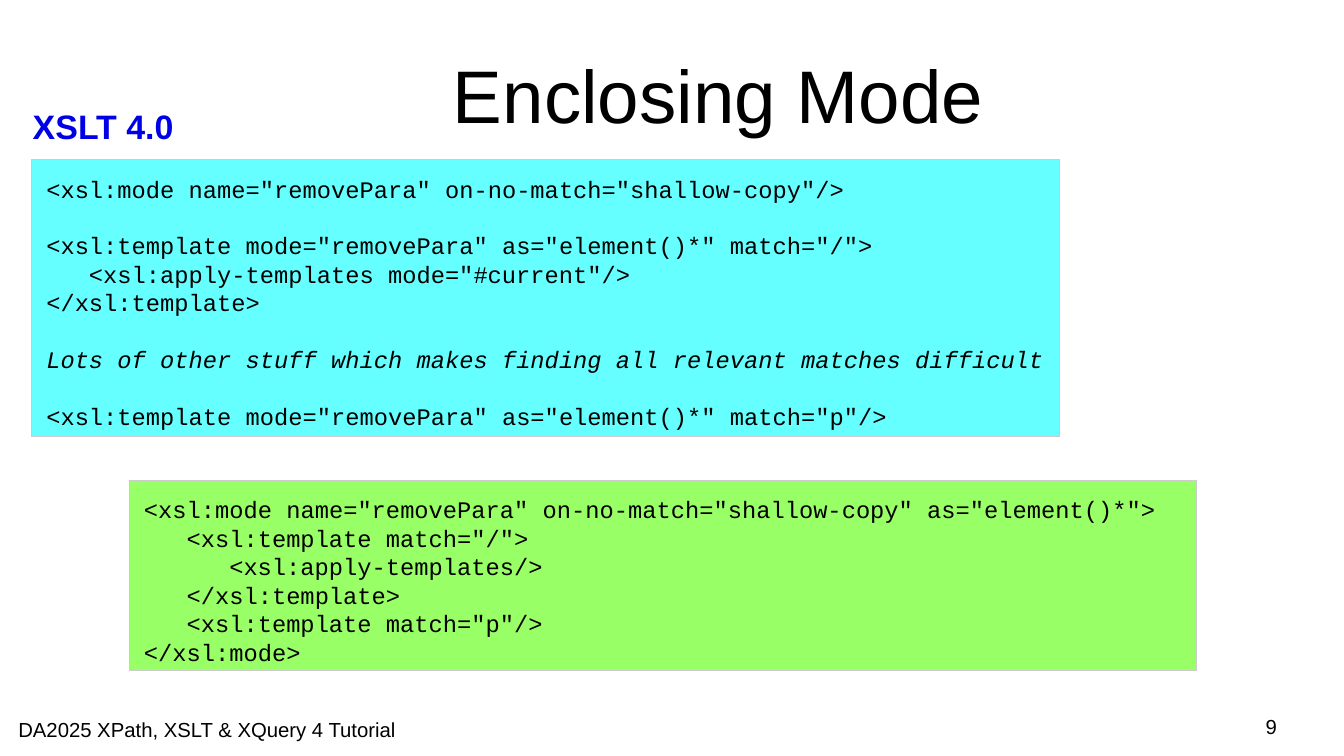
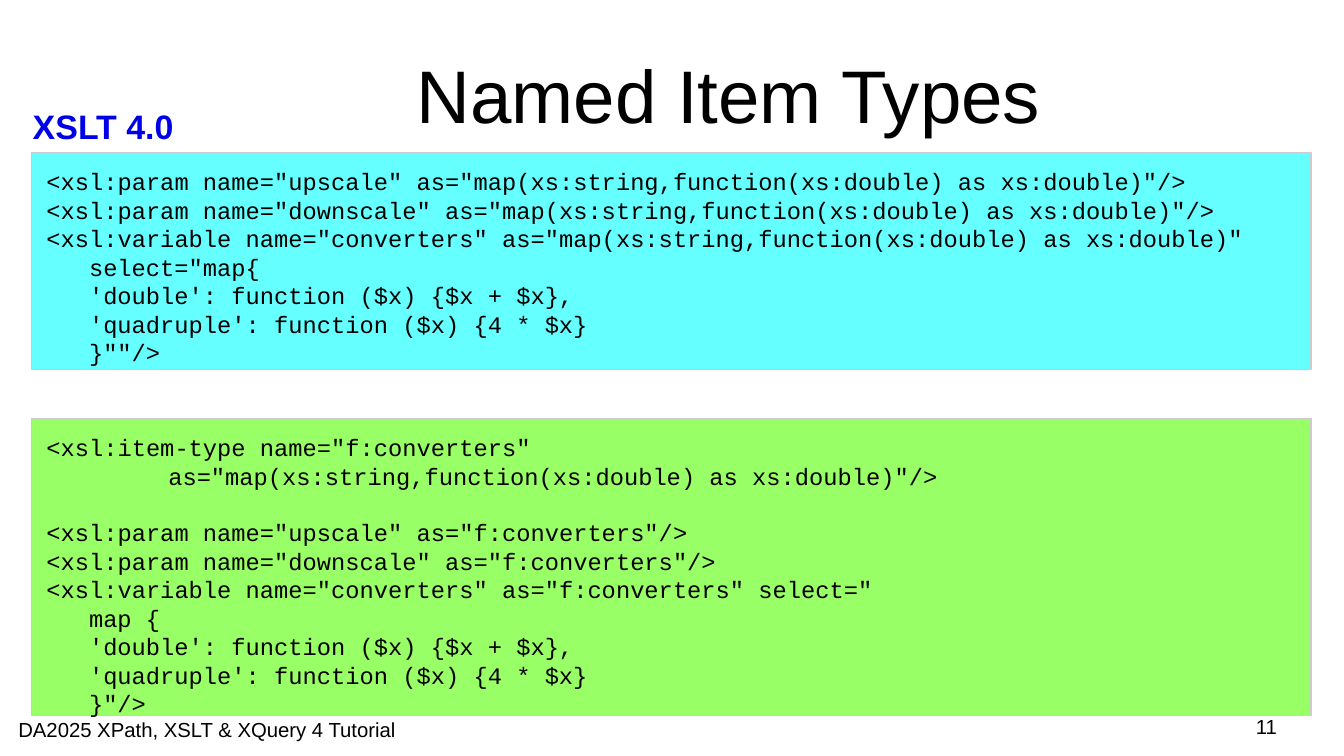
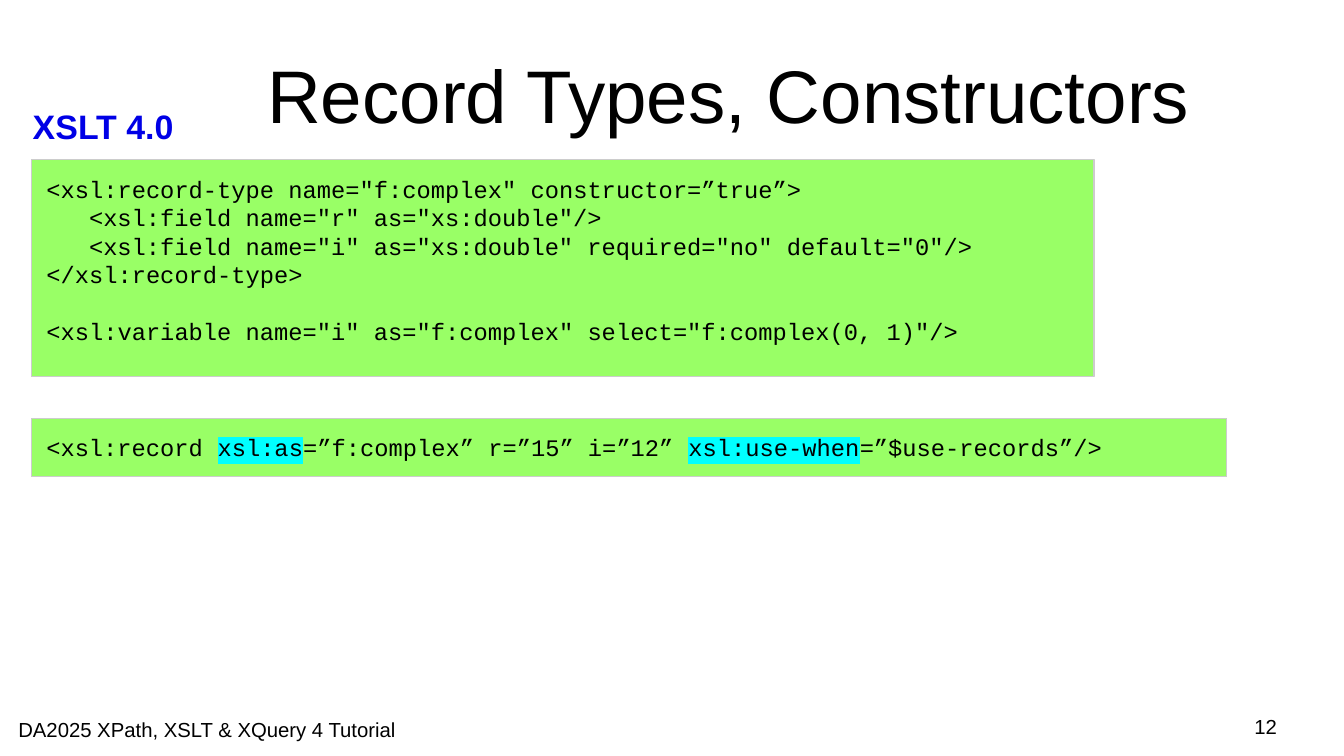
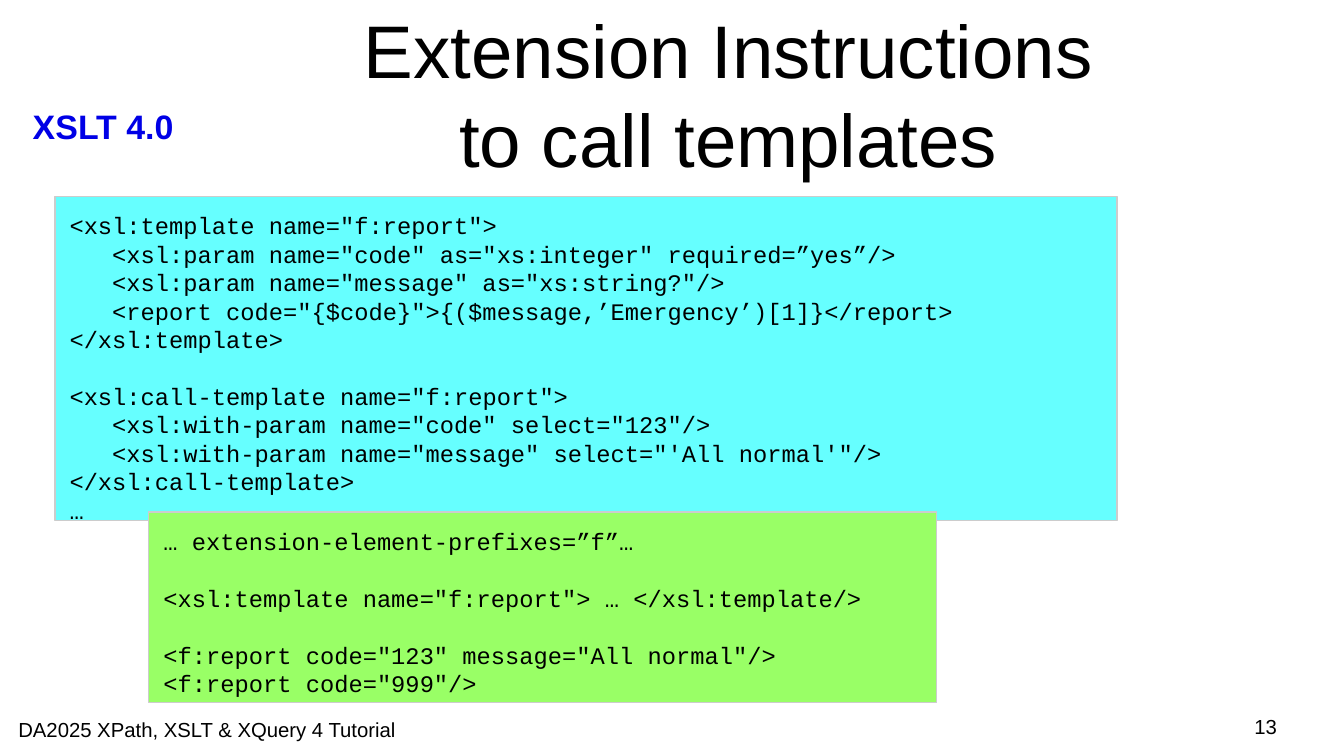
from lxml import etree
from pptx import Presentation
from pptx.dml.color import RGBColor
from pptx.enum import shapes, text
from pptx.oxml import ns
from pptx.util import Inches, Pt

BLACK = RGBColor(0x00, 0x00, 0x00)
TAG_BLUE = RGBColor(0x00, 0x00, 0xE6)
OLD_CYAN = RGBColor(0x66, 0xFF, 0xFF)
NEW_GREEN = RGBColor(0x99, 0xFF, 0x66)
BORDER_GREY = RGBColor(0xCC, 0xCC, 0xCC)
HIGHLIGHT_CYAN = RGBColor(0x00, 0xFF, 0xFF)

SANS, MONO = "Arial", "Courier New"
CODE_SIZE = 14
CODE_LINE = 1.2 * CODE_SIZE
CODE_CHARACTER = 0.6 * CODE_SIZE
TAB_WIDTH = 72
FOOTER = "DA2025 XPath, XSLT & XQuery 4 Tutorial"
TITLE_BOX = (1.48, 0.25, 8.99, 1.04)

ENCLOSING_OLD = """\
<xsl:mode name="removePara" on-no-match="shallow-copy"/>

<xsl:template mode="removePara" as="element()*" match="/">
   <xsl:apply-templates mode="#current"/>
</xsl:template>

Lots of other stuff which makes finding all relevant matches difficult

<xsl:template mode="removePara" as="element()*" match="p"/>"""

ENCLOSING_NEW = """\
<xsl:mode name="removePara" on-no-match="shallow-copy" as="element()*">
   <xsl:template match="/">
      <xsl:apply-templates/>
   </xsl:template>
   <xsl:template match="p"/>
</xsl:mode>"""

ITEM_TYPES_OLD = """\
<xsl:param name="upscale" as="map(xs:string,function(xs:double) as xs:double)"/>
<xsl:param name="downscale" as="map(xs:string,function(xs:double) as xs:double)"/>
<xsl:variable name="converters" as="map(xs:string,function(xs:double) as xs:double)"
   select="map{
   'double': function ($x) {$x + $x},
   'quadruple': function ($x) {4 * $x}
   }""/>"""

ITEM_TYPES_NEW = """\
<xsl:item-type name="f:converters"
\tas="map(xs:string,function(xs:double) as xs:double)"/>

<xsl:param name="upscale" as="f:converters"/>
<xsl:param name="downscale" as="f:converters"/>
<xsl:variable name="converters" as="f:converters" select="
   map {
   'double': function ($x) {$x + $x},
   'quadruple': function ($x) {4 * $x}
   }"/>"""

RECORD_TYPE = """\
<xsl:record-type name="f:complex" constructor=”true”>
   <xsl:field name="r" as="xs:double"/>
   <xsl:field name="i" as="xs:double" required="no" default="0"/>
</xsl:record-type>

<xsl:variable name="i" as="f:complex" select="f:complex(0, 1)"/>"""

RECORD = "<xsl:record xsl:as=”f:complex” r=”15” i=”12” xsl:use-when=”$use-records”/>"

EXTENSION_OLD = """\
<xsl:template name="f:report">
   <xsl:param name="code" as="xs:integer" required=”yes”/>
   <xsl:param name="message" as="xs:string?"/>
   <report code="{$code}">{($message,’Emergency’)[1]}</report>
</xsl:template>

<xsl:call-template name="f:report">
   <xsl:with-param name="code" select="123"/>
   <xsl:with-param name="message" select="'All normal'"/>
</xsl:call-template>
…"""

EXTENSION_NEW = """\
… extension-element-prefixes=”f”…

<xsl:template name="f:report"> … </xsl:template/>

<f:report code="123" message="All normal"/>
<f:report code="999"/>"""


def add_run(paragraph, words, size, font=SANS, color=BLACK, bold=False, italic=False):
    run = paragraph.add_run()
    run.text = words
    run.font.name = font
    run.font.size = Pt(size)
    run.font.color.rgb = color
    run.font.bold = bold
    run.font.italic = italic
    return run


def highlight(run):
    """Put a marker colour behind the run; the schema wants it right after the fill."""
    mark = etree.Element(ns.qn("a:highlight"))
    etree.SubElement(mark, ns.qn("a:srgbClr"), val=str(HIGHLIGHT_CYAN))
    run.font._element.find(ns.qn("a:solidFill")).addnext(mark)


def set_frame(frame, inset_x, inset_y, anchor=text.MSO_ANCHOR.TOP):
    frame.word_wrap = True
    frame.vertical_anchor = anchor
    frame.margin_left = frame.margin_right = Inches(inset_x)
    frame.margin_top = frame.margin_bottom = Inches(inset_y)


def add_label(slide, box, lines, size, align=text.PP_ALIGN.LEFT, inset=(0, 0),
              anchor=text.MSO_ANCHOR.TOP, **style):
    frame = slide.shapes.add_textbox(*map(Inches, box)).text_frame
    set_frame(frame, *inset, anchor)
    for index, line in enumerate(lines.split("\n")):
        paragraph = frame.add_paragraph() if index else frame.paragraphs[0]
        paragraph.alignment = align
        add_run(paragraph, line, size, **style)


def add_code_line(paragraph, line, blanks, italic, highlights):
    """Turn leading white space into an indent and skipped lines into spacing."""
    code = line.lstrip()
    margin = line[:len(line) - len(code)]
    indent = margin.count(" ") * CODE_CHARACTER + margin.count("\t") * TAB_WIDTH
    paragraph.alignment = text.PP_ALIGN.LEFT
    paragraph.space_before = Pt(blanks * CODE_LINE)
    paragraph._p.get_or_add_pPr().set("marL", str(Pt(indent)))
    for term in highlights:
        before, found, code = code.partition(term)
        add_run(paragraph, before, CODE_SIZE, MONO)
        highlight(add_run(paragraph, found, CODE_SIZE, MONO))
    add_run(paragraph, code, CODE_SIZE, MONO, italic=italic)


def add_code_box(slide, box, fill, listing, remark=None, highlights=()):
    """Draw a listing; remark is the line set in italics."""
    shape = slide.shapes.add_shape(shapes.MSO_SHAPE.RECTANGLE, *map(Inches, box))
    shape.shadow.inherit = False
    shape.fill.solid()
    shape.fill.fore_color.rgb = fill
    shape.line.color.rgb = BORDER_GREY
    shape.line.width = Pt(0)
    frame = shape.text_frame
    set_frame(frame, 0.12, 0.12)
    # Leave the longest line room to stay unbroken.
    frame.margin_right = Inches(0)
    paragraph, blanks = frame.paragraphs[0], 0
    for line in listing.split("\n"):
        if not line:
            blanks += 1
            continue
        paragraph = paragraph or frame.add_paragraph()
        add_code_line(paragraph, line, blanks, line == remark, highlights)
        paragraph, blanks = None, 0


def add_code_slide(presentation, title, number, title_box=TITLE_BOX):
    """Add a slide with the title, version tag, footer and number all slides share."""
    slide = presentation.slides.add_slide(presentation.slide_layouts[6])
    add_label(slide, (0.17, 0.82, 1.38, 0.41), "XSLT 4.0", 20, inset=(0.1, 0.05),
              color=TAG_BLUE, bold=True)
    add_label(slide, title_box, title, 44, text.PP_ALIGN.CENTER,
              anchor=text.MSO_ANCHOR.MIDDLE)
    add_label(slide, (0.15, 5.88, 3.49, 0.19), FOOTER, 12)
    add_label(slide, (7.9, 5.86, 2.57, 0.24), str(number), 12, text.PP_ALIGN.RIGHT)
    return slide


def main():
    presentation = Presentation()
    presentation.slide_width = Inches(11.02)
    presentation.slide_height = Inches(6.2)

    slide = add_code_slide(presentation, "Enclosing Mode ", 9)
    add_code_box(slide, (0.26, 1.31, 8.43, 2.27), OLD_CYAN, ENCLOSING_OLD,
                 remark="Lots of other stuff which makes finding all relevant matches difficult")
    add_code_box(slide, (1.06, 3.94, 8.75, 1.56), NEW_GREEN, ENCLOSING_NEW)

    slide = add_code_slide(presentation, "Named Item Types", 11)
    add_code_box(slide, (0.26, 1.25, 10.49, 1.78), OLD_CYAN, ITEM_TYPES_OLD)
    add_code_box(slide, (0.26, 3.43, 10.49, 2.44), NEW_GREEN, ITEM_TYPES_NEW)

    slide = add_code_slide(presentation, "Record Types, Constructors", 12)
    add_code_box(slide, (0.26, 1.31, 8.71, 1.78), NEW_GREEN, RECORD_TYPE)
    add_code_box(slide, (0.26, 3.43, 9.8, 0.48), NEW_GREEN, RECORD,
                 highlights=("xsl:as", "xsl:use-when"))

    slide = add_code_slide(presentation, "Extension Instructions\nto call templates", 13,
                           title_box=(1.48, 0.08, 8.99, 1.37))
    add_code_box(slide, (0.45, 1.61, 8.71, 2.66), OLD_CYAN, EXTENSION_OLD)
    add_code_box(slide, (1.22, 4.2, 6.46, 1.56), NEW_GREEN, EXTENSION_NEW)

    presentation.save("out.pptx")


if __name__ == "__main__":
    main()
